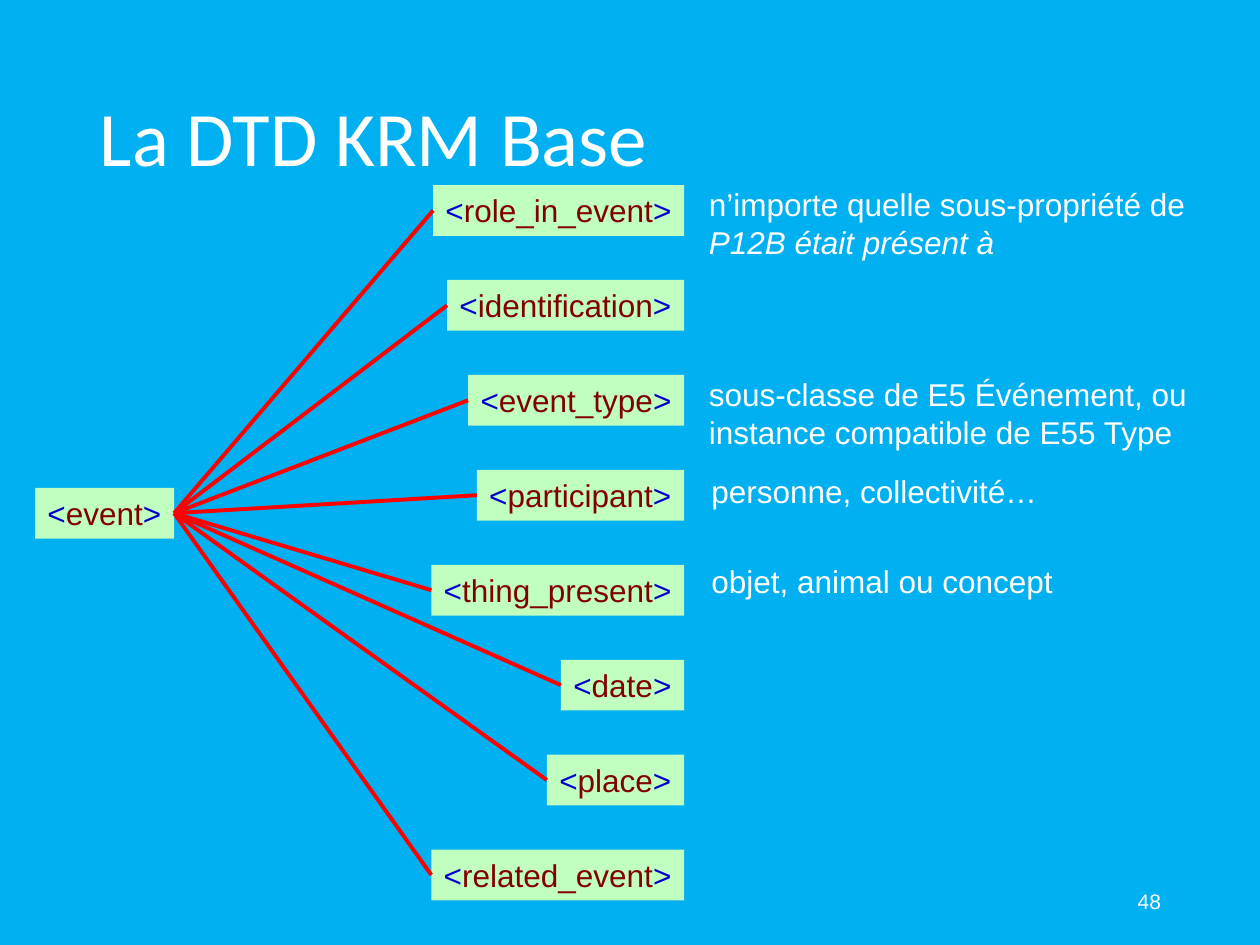
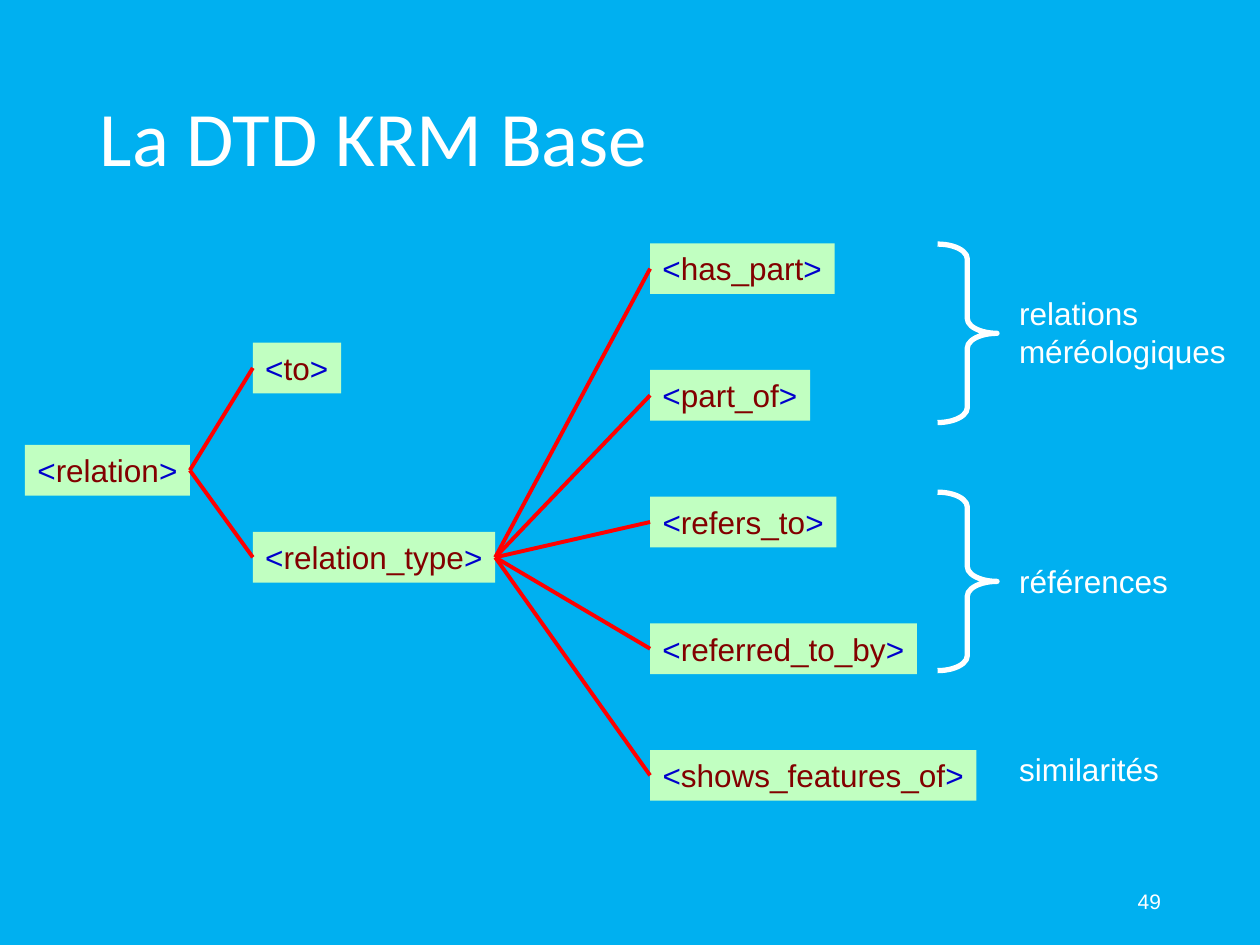
from pptx import Presentation
from pptx.dml.color import RGBColor
from pptx.enum.shapes import MSO_CONNECTOR, MSO_SHAPE
from pptx.enum.text import MSO_ANCHOR, MSO_AUTO_SIZE, PP_ALIGN
from pptx.oxml.xmlchemy import OxmlElement
from pptx.util import Pt

SKY = RGBColor(0x00, 0xB0, 0xF0)
WHITE = RGBColor(0xFF, 0xFF, 0xFF)
MINT = RGBColor(0xC1, 0xFF, 0xC1)
BLUE = RGBColor(0x00, 0x00, 0xCC)
MAROON = RGBColor(0x82, 0x00, 0x00)
RED = RGBColor(0xFF, 0x00, 0x00)

TITLE = "La DTD KRM Base"
TAG_HEIGHT = 29
LEFT_SITE, RIGHT_SITE = 1, 3


def set_font(p, size, name="Arial", color=WHITE):
    p.font.size = Pt(size)
    p.font.name = name
    p.font.color.rgb = color


def add_text(s, x, y, w, h, text, size, name="Arial"):
    tf = s.shapes.add_textbox(Pt(x), Pt(y), Pt(w), Pt(h)).text_frame
    tf.word_wrap = True
    p = tf.paragraphs[0]
    p.add_run().text = text
    set_font(p, size, name)
    return tf


def add_note(s, x, y, w, text, lines=1, italic_end=""):
    tf = add_text(s, x, y, w, 3.6 + 21.6 * lines, text, 18)
    tf.margin_top = 0
    tf.auto_size = MSO_AUTO_SIZE.SHAPE_TO_FIT_TEXT
    if italic_end:
        r = tf.paragraphs[0].add_run()
        r.text = italic_end
        r.font.italic = True


def add_slide(prs, number):
    s = prs.slides.add_slide(prs.slide_layouts[6])
    s.background.fill.solid()
    s.background.fill.fore_color.rgb = SKY
    tf = add_text(s, 50, 29, 621, 104, TITLE, 44, "Calibri")
    tf.vertical_anchor = MSO_ANCHOR.MIDDLE
    tf.paragraphs[0].line_spacing = 0.9
    tf = add_text(s, 508.5, 500.5, 162, 29, str(number), 12)
    tf.vertical_anchor = MSO_ANCHOR.MIDDLE
    tf.paragraphs[0].alignment = PP_ALIGN.RIGHT
    return s


def add_tag(s, x, y, w, name):
    sp = s.shapes.add_shape(MSO_SHAPE.RECTANGLE, Pt(x), Pt(y), Pt(w), Pt(TAG_HEIGHT))
    sp.shadow.inherit = False
    sp.fill.solid()
    sp.fill.fore_color.rgb = MINT
    sp.line.fill.background()
    tf = sp.text_frame
    tf.word_wrap = False
    tf.auto_size = MSO_AUTO_SIZE.SHAPE_TO_FIT_TEXT
    tf.vertical_anchor = MSO_ANCHOR.TOP
    tf.margin_right = Pt(6)
    p = tf.paragraphs[0]
    p.alignment = PP_ALIGN.LEFT
    set_font(p, 18, color=MAROON)
    for text, color in (("<", BLUE), (name, MAROON), (">", BLUE)):
        r = p.add_run()
        r.text = text
        r.font.color.rgb = color
    return sp


def link(s, parent, children):
    for child in children:
        line = s.shapes.add_connector(MSO_CONNECTOR.STRAIGHT, 0, 0, 0, 0)
        line.begin_connect(parent, RIGHT_SITE)
        line.end_connect(child, LEFT_SITE)
        line.line.color.rgb = RED
        line.line.width = Pt(2.25)
        line._element.spPr.append(OxmlElement("a:effectLst"))


def add_brace(s, x, y):
    sp = s.shapes.add_shape(MSO_SHAPE.RIGHT_BRACE, Pt(x), Pt(y), Pt(34), Pt(102))
    sp.shadow.inherit = False
    sp.adjustments[0] = 0.25
    sp.fill.background()
    sp.line.color.rgb = WHITE
    sp.line.width = Pt(3)


def build_event(prs):
    s = add_slide(prs, 48)
    top, pitch, right = 105.75, 54.25, 391
    widths = {
        "role_in_event": 143.5, "identification": 135.5, "event_type": 123.5,
        "participant": 118.5, "thing_present": 144.5, "date": 70.5,
        "place": 78.5, "related_event": 144.5,
    }
    event = add_tag(s, 20, 278.75, 79.5, "event")
    children = [add_tag(s, right - w, top + i * pitch, w, name)
                for i, (name, w) in enumerate(widths.items())]
    link(s, event, children)
    add_note(s, 398, top, 297, "n’importe quelle sous-propriété de ", 2, "P12B était présent à")
    add_note(s, 398, top + 2 * pitch, 297,
             "sous-classe de E5 Événement, ou instance compatible de E55 Type", 2)
    add_note(s, 399.5, 269.75, 297, "personne, collectivité…")
    add_note(s, 399.5, 321.25, 297, "objet, animal ou concept")


def build_relation(prs):
    s = add_slide(prs, 49)
    top, pitch = 139, 72.4
    widths = {
        "has_part": 105.5, "part_of": 91.5, "refers_to": 106.5,
        "referred_to_by": 152.5, "shows_features_of": 186.5,
    }
    relation = add_tag(s, 14.25, 254.25, 94.25, "relation")
    to = add_tag(s, 144.5, 195.75, 50.5, "to")
    relation_type = add_tag(s, 144.5, 304, 138.5, "relation_type")
    kinds = [add_tag(s, 371.5, top + i * pitch, w, name)
             for i, (name, w) in enumerate(widths.items())]
    link(s, relation, [to, relation_type])
    link(s, relation_type, kinds)
    for y in (139.5, 281.25):
        add_brace(s, 535.75, y)
    add_note(s, 575.25, 168, 144.75, "relations méréologiques", 2)
    add_note(s, 575.25, 321.25, 111, "références")
    add_note(s, 575.25, 428.5, 111, "similarités")


def main():
    prs = Presentation()
    prs.slide_width, prs.slide_height = Pt(720), Pt(540)
    build_event(prs)
    build_relation(prs)
    prs.save("out.pptx")


if __name__ == "__main__":
    main()
